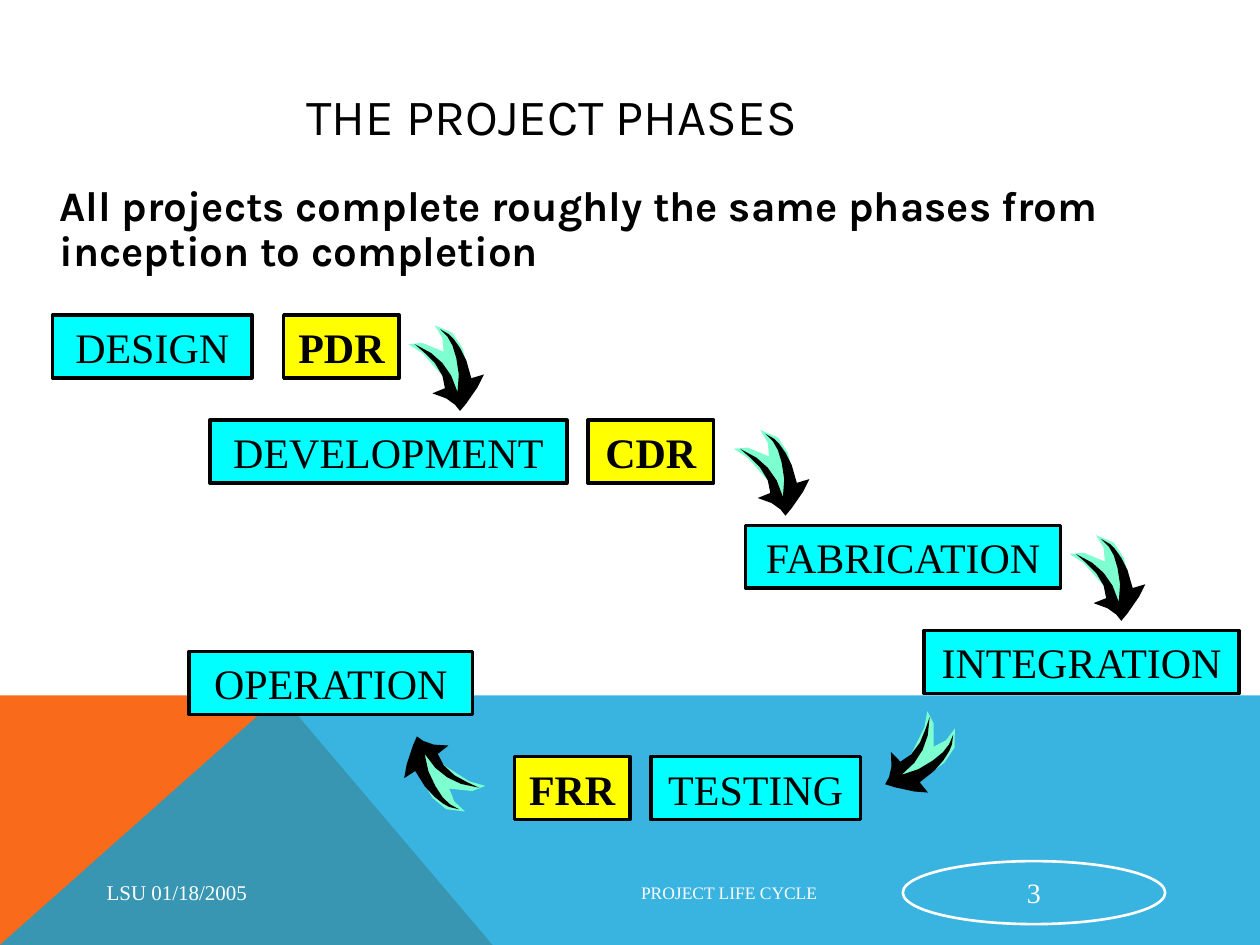
from dataclasses import dataclass
from math import cos, radians, sin

from lxml import etree
from pptx import Presentation
from pptx import util as u
from pptx.dml.color import RGBColor
from pptx.enum import shapes, text
from pptx.oxml import ns


@dataclass(frozen=True)
class Theme:
    black: str = "000000"
    white: str = "FFFFFF"
    orange: str = "F96A1B"
    blue: str = "08A1D9"
    phase: str = "00FFFF"
    review: str = "FFFF00"
    mint: str = "7DFFCF"
    heading_font: str = "Karla"
    label_font: str = "Times New Roman"
    title_size: int = 29
    body_size: int = 24
    number_size: int = 16
    date_size: int = 12
    footer_size: int = 10


THEME = Theme()
BOX_HEIGHT = 1.27
FIRST_ROW, ROW_STEP = 6.35, 2.12

# Row on the staircase, left, width, wording, whether it is a review
STAGES = [
    (0, 1.06, 4.02, "DESIGN", False),
    (0, 5.72, 2.33, "PDR", True),
    (1, 4.23, 7.2, "DEVELOPMENT", False),
    (1, 11.85, 2.54, "CDR", True),
    (2, 15.03, 6.35, "FABRICATION", False),
    (3, 18.63, 6.35, "INTEGRATION", False),
    (4.2, 13.12, 4.23, "TESTING", False),
    (4.2, 10.37, 2.33, "FRR", True),
    (3.2, 3.81, 5.72, "OPERATION", False),
]

# Centre of each arrow and its clockwise turn in degrees
ARROWS = [
    (9.02, 7.32, 0),
    (15.58, 9.43, 0),
    (22.35, 11.55, 0),
    (18.64, 15.21, 67.7),
    (8.92, 15.7, 163.7),
]

# Arrow outlines around the centre, in units of ARROW_UNIT cm
ARROW_UNIT = 0.0254
ARROW_GLOW = [
    (-20, -16), (-3, -9), (-4, -20), (-10, -30), (4, -24), (12, -12),
    (19, 16), (8, 30), (-5, 9), (-20, -8), (-31, -15),
]
ARROW_BODY = [
    (-26, -15), (-13, -8), (-4, 0), (3, 10), (8, 23), (9, 9), (7, -4),
    (4, -14), (0, -21), (-6, -27), (1, -23), (5, -19), (10, -12), (15, -2),
    (19, 12), (29, 9), (24, 19), (15, 32), (10, 38), (6, 33), (-1, 28),
    (-12, 24), (-2, 20), (-4, 10), (-10, 0), (-18, -8),
]


def apply(target, formats):
    for name, value in formats.items():
        setattr(target, name, value)


def paint(shape, fill=None, line=None, width=0):
    shape.shadow.inherit = False
    if fill:
        shape.fill.solid()
        shape.fill.fore_color.rgb = RGBColor.from_string(fill)
    else:
        shape.fill.background()
    if line:
        shape.line.color.rgb = RGBColor.from_string(line)
        shape.line.width = u.Pt(width)
    else:
        shape.line.fill.background()


def write(shape, wording, size, font, color, bold=False, inset=(0.25, 0.13),
          frame_formats=None, paragraph_formats=None):
    frame = shape.text_frame
    across, down = (u.Cm(side) for side in inset)
    apply(frame, {
        "word_wrap": True,
        "margin_left": across, "margin_right": across,
        "margin_top": down, "margin_bottom": down,
        "vertical_anchor": text.MSO_ANCHOR.MIDDLE,
        **(frame_formats or {}),
    })
    paragraph = frame.paragraphs[0]
    apply(paragraph, {"alignment": text.PP_ALIGN.LEFT, **(paragraph_formats or {})})
    run = paragraph.add_run()
    run.text = wording
    apply(run.font, {"name": font, "size": u.Pt(size), "bold": bold})
    run.font.color.rgb = RGBColor.from_string(color)


def add_label(slide, place, *wording, **formats):
    label = slide.shapes.add_textbox(*map(u.Cm, place))
    write(label, *wording, **formats)


def add_outline(slide, points, fill):
    start, *rest = [(u.Cm(x), u.Cm(y)) for x, y in points]
    builder = slide.shapes.build_freeform(*start, scale=1.0)
    builder.add_line_segments(rest, close=True)
    outline = builder.convert_to_shape()
    paint(outline, fill)
    return outline


def add_backdrop(slide):
    top, peak, bottom, right = 14.02, 5.66, 19.05, 25.4
    add_outline(slide, [(0, bottom), (0, top), (peak, top), (9.93, bottom)], THEME.orange)
    band = add_outline(
        slide, [(0, bottom), (peak, top), (right, top), (right, bottom)], THEME.blue)
    color = band.fill._xPr.find(".//" + ns.qn("a:srgbClr"))
    etree.SubElement(color, ns.qn("a:alpha"), val="80000")


def add_stage(slide, row, left, width, wording, is_review):
    top = FIRST_ROW + row * ROW_STEP
    stage = slide.shapes.add_shape(
        shapes.MSO_SHAPE.RECTANGLE, *map(u.Cm, (left, top, width, BOX_HEIGHT)))
    paint(stage, THEME.review if is_review else THEME.phase, THEME.black, 2)
    write(stage, wording, THEME.body_size, THEME.label_font, THEME.black, is_review,
          frame_formats={"vertical_anchor": text.MSO_ANCHOR.TOP,
                         "auto_size": text.MSO_AUTO_SIZE.SHAPE_TO_FIT_TEXT},
          paragraph_formats={"alignment": text.PP_ALIGN.CENTER,
                             "space_before": u.Pt(15)})


def add_arrow(slide, center_x, center_y, turn):
    across = ARROW_UNIT * cos(radians(turn))
    down = ARROW_UNIT * sin(radians(turn))
    for outline, fill in ((ARROW_GLOW, THEME.mint), (ARROW_BODY, THEME.black)):
        points = [(center_x + x * across - y * down, center_y + x * down + y * across)
                  for x, y in outline]
        add_outline(slide, points, fill)


def add_footer(slide):
    top, height = 17.36, 1.27
    add_label(slide, (1.9, top, 5.29, height), "LSU 01/18/2005",
              THEME.date_size, THEME.label_font, THEME.white)
    add_label(slide, (8.68, top, 8.04, height), "PROJECT LIFE CYCLE",
              THEME.footer_size, THEME.label_font, THEME.white,
              paragraph_formats={"alignment": text.PP_ALIGN.RIGHT})
    number = slide.shapes.add_shape(
        shapes.MSO_SHAPE.OVAL, *map(u.Cm, (18.2, top, 5.29, height)))
    paint(number, line=THEME.white, width=1.5)
    write(number, "3", THEME.number_size, THEME.label_font, THEME.white,
          inset=(0.03, 0.03), paragraph_formats={"alignment": text.PP_ALIGN.CENTER})


def main():
    deck = Presentation()
    apply(deck, {"slide_width": u.Cm(25.4), "slide_height": u.Cm(19.05)})
    slide = deck.slides.add_slide(deck.slide_layouts[6])

    # Coloured base
    add_backdrop(slide)

    # Title and statement
    add_label(slide, (5.93, 1.69, 17.57, 1.27), "THE PROJECT PHASES",
              THEME.title_size, THEME.heading_font, THEME.black)
    add_label(slide, (0.95, 3.6, 23.5, 2.12),
              "All projects complete roughly the same phases from inception to completion",
              THEME.body_size, THEME.heading_font, THEME.black, True,
              frame_formats={"vertical_anchor": text.MSO_ANCHOR.TOP},
              paragraph_formats={"line_spacing": 0.9, "space_before": u.Pt(8)})

    add_footer(slide)

    # Phases, reviews and the arrows between them
    for stage in STAGES:
        add_stage(slide, *stage)
    for arrow in ARROWS:
        add_arrow(slide, *arrow)

    deck.save("out.pptx")


if __name__ == "__main__":
    main()
